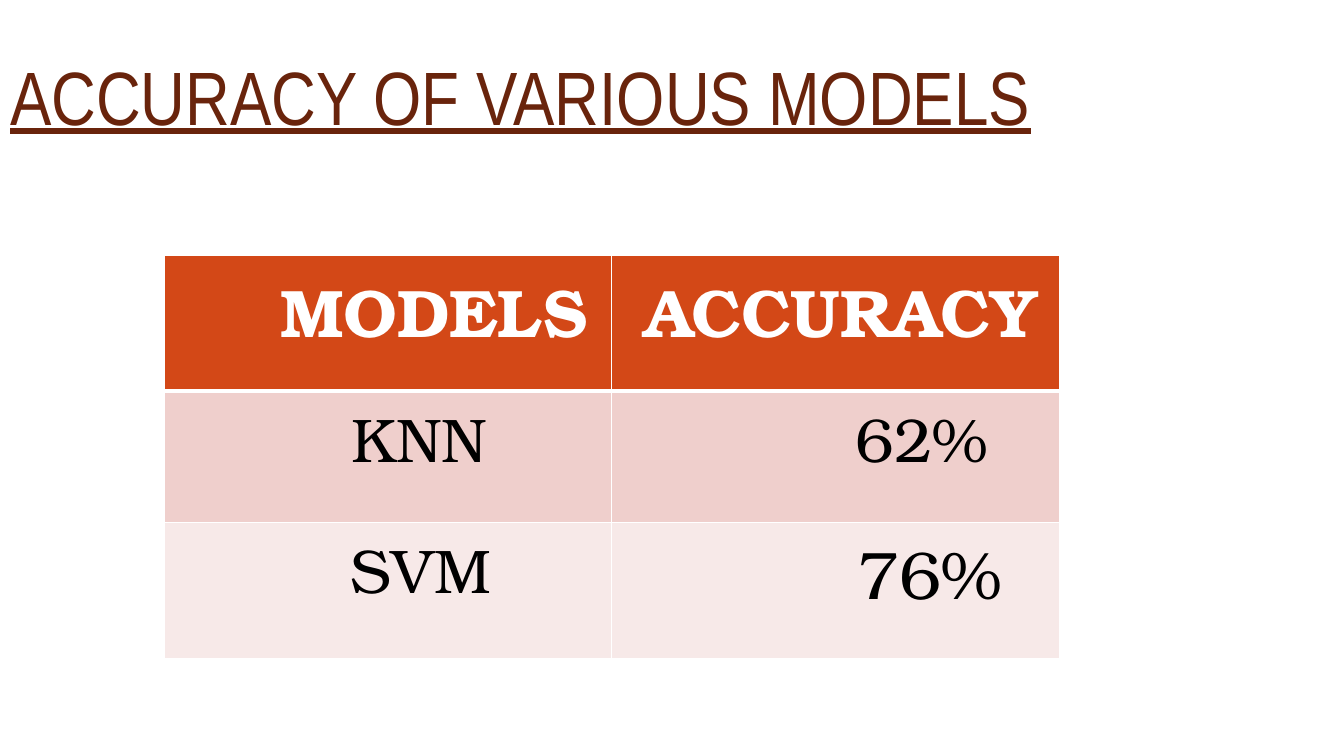
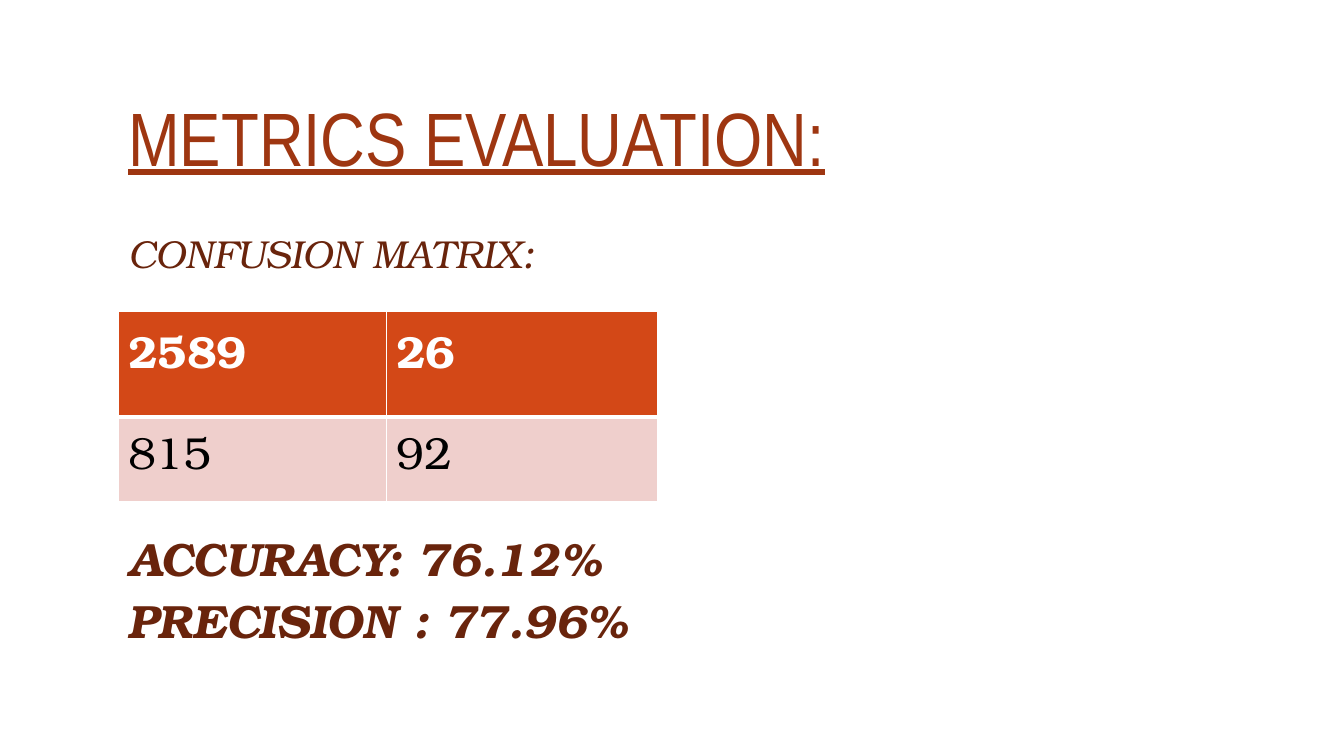
from dataclasses import dataclass
from lxml.etree import SubElement
from pptx import Presentation
from pptx.dml.color import RGBColor as RGB
from pptx.enum.shapes import MSO_SHAPE as Shape
from pptx.enum.text import MSO_ANCHOR as Anchor, MSO_AUTO_SIZE as AutoSize, PP_ALIGN as Align
from pptx.oxml.ns import qn
from pptx.util import Cm, Pt


@dataclass(frozen=True)
class Theme:
    title_font: str = "Arial Narrow"
    body_font: str = "TeX Gyre Bonum"
    brown: str = "69240C"
    rust: str = "9E3611"
    header: str = "D34817"
    bands: tuple = ("EFCFCC", "F7E9E8")
    white: str = "FFFFFF"
    black: str = "000000"
    title_size: float = 54
    heading_size: float = 27.8
    result_size: float = 33.3
    matrix_size: float = 32
    large_size: float = 48
    medium_size: float = 44
    thin_line: float = 1
    header_line: float = 3


@dataclass(frozen=True)
class Entry:
    """Text of one table cell; indent is its left margin in cm."""
    text: str
    size: float
    indent: float = 0.25


class Deck:
    def __init__(self, theme):
        self.theme = theme
        self.prs = Presentation()
        self.prs.slide_width, self.prs.slide_height = Cm(33.87), Cm(19.05)
        self.s = None

    def run(self, p, text, size, color, font=None, **style):
        r = p.add_run()
        r.text = text
        r.font.name = font or self.theme.body_font
        r.font.size = Pt(size)
        r.font.color.rgb = RGB.from_string(color)
        for name, value in style.items():
            setattr(r.font, name, value)

    def slide(self, title, left, top, color):
        """Start a title-only slide with the corner ring and its title at left, top."""
        t = self.theme
        self.s = self.prs.slides.add_slide(self.prs.slide_layouts[5])
        self.ring()
        sp = self.s.shapes.title
        sp.left, sp.top, sp.width, sp.height = Cm(left), Cm(top), Cm(27.94), Cm(4.47)
        tf = sp.text_frame
        tf.word_wrap, tf.auto_size = True, AutoSize.NONE
        tf.vertical_anchor = Anchor.MIDDLE
        p = tf.paragraphs[0]
        p.alignment, p.line_spacing = Align.LEFT, 0.9
        self.run(p, title, t.title_size, color, t.title_font, underline=True)

    def ring(self):
        sp = self.s.shapes.add_shape(Shape.OVAL, Cm(31.75), Cm(17.37), Cm(1.12), Cm(1.12))
        sp.shadow.inherit = False
        sp.fill.background()
        sp.line.color.rgb = RGB.from_string(self.theme.white)
        sp.line.width = Pt(self.theme.thin_line)

    def text(self, lines, left, top, height, size, bold=False):
        """Add italic lines, spaced apart, in one text box."""
        sp = self.s.shapes.add_textbox(Cm(left), Cm(top), Cm(27.94), Cm(height))
        tf = sp.text_frame
        tf.word_wrap = True
        for i, line in enumerate(lines):
            p = tf.add_paragraph() if i else tf.paragraphs[0]
            p.line_spacing = 0.8
            p.space_before = Pt(12 if i else 0)
            self.run(p, line, size, self.theme.brown, italic=True, bold=bold)

    def borders(self, cell, bottom):
        thin = self.theme.thin_line
        tcPr = cell._tc.get_or_add_tcPr()
        for side, width in zip("LRTB", (thin, thin, thin, bottom)):
            ln = SubElement(tcPr, qn(f"a:ln{side}"), w=str(Pt(width)))
            fill = SubElement(ln, qn("a:solidFill"))
            SubElement(fill, qn("a:srgbClr"), val=self.theme.white)

    def table(self, rows, left, top, widths, heights):
        """Add a table whose first row is the header and the others are banded."""
        t = self.theme
        table = self.s.shapes.add_table(
            len(rows), len(widths), Cm(left), Cm(top),
            Cm(sum(widths)), Cm(sum(heights))).table
        for column, width in zip(table.columns, widths):
            column.width = Cm(width)
        for i, (entries, height) in enumerate(zip(rows, heights)):
            table.rows[i].height = Cm(height)
            is_header = i == 0
            fill = t.header if is_header else t.bands[(i - 1) % len(t.bands)]
            for j, entry in enumerate(entries):
                cell = table.cell(i, j)
                self.borders(cell, t.header_line if is_header else t.thin_line)
                cell.fill.solid()
                cell.fill.fore_color.rgb = RGB.from_string(fill)
                cell.margin_left = Cm(entry.indent)
                self.run(cell.text_frame.paragraphs[0], entry.text, entry.size,
                         t.white if is_header else t.black, bold=is_header)


def accuracy_slide(deck):
    t = deck.theme
    deck.slide("ACCURACY OF VARIOUS MODELS", 0, 0.32, t.brown)
    deck.table([
        [Entry("MODELS", t.large_size, 2.92), Entry("ACCURACY", t.large_size, 0.81)],
        [Entry("KNN", t.medium_size, 4.73), Entry("62%", t.medium_size, 6.15)],
        [Entry("SVM", t.medium_size, 4.7), Entry("76%", t.large_size, 6.2)],
    ], 4.14, 6.43, [11.28] * 2, [3.43, 3.31, 3.43])


def metrics_slide(deck):
    t = deck.theme
    left = 2.98
    deck.slide("METRICS EVALUATION:", left, 1.35, t.rust)
    deck.text(["CONFUSION MATRIX:"], left, 5.89, 1.3, t.heading_size)
    matrix = [["2589", "26"], ["815", "92"]]
    deck.table([[Entry(count, t.matrix_size) for count in row] for row in matrix],
               left, 7.85, [6.76, 6.83], [2.65, 2.13])
    deck.text(["ACCURACY: 76.12%", "PRECISION : 77.96%"],
              left, 13.5, 3.2, t.result_size, bold=True)


def main():
    deck = Deck(Theme())
    accuracy_slide(deck)
    metrics_slide(deck)
    deck.prs.save("out.pptx")


if __name__ == "__main__":
    main()
